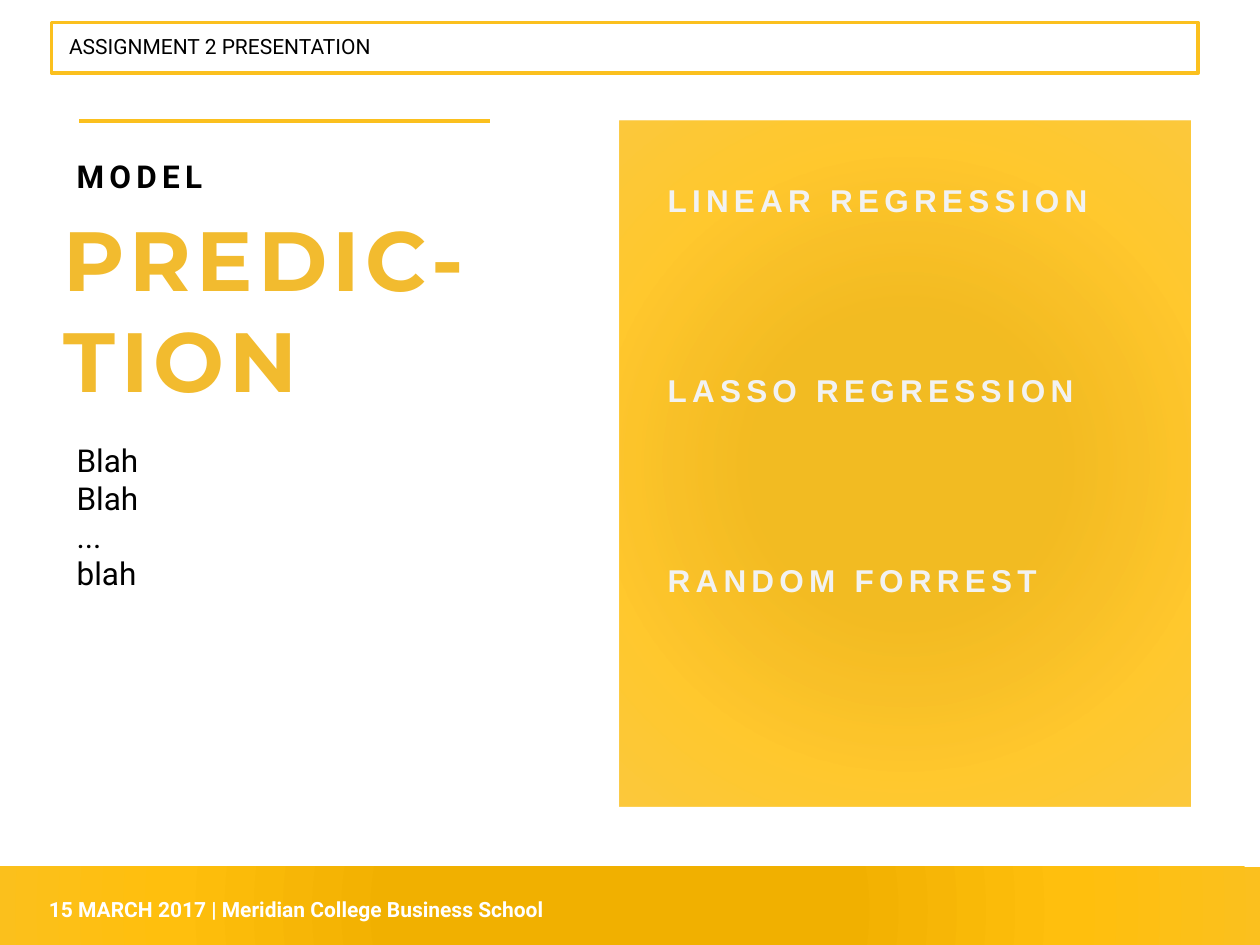
"""Build the model prediction slide of the assignment deck."""
from pptx import Presentation
from pptx.dml.color import RGBColor
from pptx.enum.shapes import MSO_CONNECTOR, MSO_SHAPE
from pptx.enum.text import MSO_AUTO_SIZE
from pptx.oxml import parse_xml
from pptx.oxml.ns import nsdecls, qn
from pptx.util import Inches, Pt

RECT = MSO_SHAPE.RECTANGLE
STRAIGHT = MSO_CONNECTOR.STRAIGHT
GROW = MSO_AUTO_SIZE.SHAPE_TO_FIT_TEXT
COLS = 100
COLORS = {
    "amber": "FBC01E",
    "dark": "F1B000",
    "bright": "FFBF0D",
    "title": "F2BB2F",
    "black": "000000",
    "white": "FFFFFF",
    "pale": "F2F2F2",
}
GLOW = [(0, "dark"), (34, "dark"), (70, "bright"), (100, "amber")]


class Deck:
    def __init__(self, width, height):
        self.prs = Presentation()
        self.prs.slide_width = Inches(width)
        self.prs.slide_height = Inches(height)
        self.unit = self.prs.slide_width / COLS
        self.slide = self.prs.slides.add_slide(self.prs.slide_layouts[6])

    def grid(self, *cells):
        return [round(c * self.unit) for c in cells]

    def color(self, name):
        return RGBColor.from_string(COLORS[name])

    def stroke(self, line):
        line.color.rgb = self.color("amber")
        line.width = Pt(2.08)

    def rect(self, x, y, w, h):
        sp = self.slide.shapes.add_shape(RECT, *self.grid(x, y, w, h))
        sp.shadow.inherit = False
        sp.fill.background()
        return sp

    def frame(self, x, y, w, h):
        self.stroke(self.rect(x, y, w, h).line)

    def glow(self, x, y, w, h, alpha=100):
        sp = self.rect(x, y, w, h)
        sp.line.fill.background()
        stops = "".join(
            f'<a:gs pos="{pos * 1000}"><a:srgbClr val="{COLORS[name]}">'
            f'<a:alpha val="{alpha * 1000}"/></a:srgbClr></a:gs>'
            for pos, name in GLOW)
        grad = parse_xml(
            f'<a:gradFill {nsdecls("a")} rotWithShape="1"><a:gsLst>{stops}</a:gsLst>'
            '<a:path path="circle"><a:fillToRect l="100000" t="100000" '
            'r="100000" b="100000"/></a:path></a:gradFill>')
        spPr = sp._element.spPr
        spPr.replace(spPr.find(qn("a:noFill")), grad)

    def rule(self, x, y, w):
        cxn = self.slide.shapes.add_connector(STRAIGHT, *self.grid(x, y, x + w, y))
        self.stroke(cxn.line)
        cxn._element.spPr.append(parse_xml(f'<a:effectLst {nsdecls("a")}/>'))

    def text(self, x, y, w, h, lines, size, color, font="Roboto",
             bold=False, spacing=0, gap=0):
        tf = self.slide.shapes.add_textbox(*self.grid(x, y, w, h)).text_frame
        tf.word_wrap = True
        tf.auto_size = GROW
        tf.text = "\n".join(lines)
        for i, p in enumerate(tf.paragraphs):
            p.space_before = Pt(gap if i else 0)
            for r in p.runs:
                r.font.name = font
                r.font.size = Pt(size)
                r.font.bold = bold
                r.font.color.rgb = self.color(color)
                if spacing:
                    r._r.get_or_add_rPr().set("spc", str(spacing * 100))


def main():
    deck = Deck(10, 7.5)

    deck.rule(6.3, 9.6, 32.6)
    deck.text(5.1, 12, 22.6, 4, ["MODEL"], 18, "black", bold=True, spacing=3)
    deck.text(4.1, 16, 71.7, 17.2, ["PREDIC-", "TION"], 48, "title",
              "Montserrat", bold=True, spacing=3)

    deck.glow(-2.1, 68.8, 102.6, 6.8)
    deck.text(2.9, 70.7, 51.5, 3,
              ["15 MARCH 2017 | Meridian College Business School"],
              12, "white", bold=True)

    deck.frame(4.1, 1.8, 91, 4)
    deck.text(4.5, 2.2, 91, 3, ["ASSIGNMENT 2 PRESENTATION"], 12, "black")

    deck.glow(49.2, 9.6, 45.3, 54.4, alpha=86)
    deck.text(52, 13.9, 38.9, 49.5,
              ["LINEAR REGRESSION", "LASSO REGRESSION", "RANDOM FORREST"],
              18, "pale", "Arial", bold=True, spacing=3, gap=87)

    deck.text(5.1, 34.5, 36.7, 13.1, ["Blah", "Blah", "...", "blah"], 18, "black")

    deck.prs.save("out.pptx")


if __name__ == "__main__":
    main()
